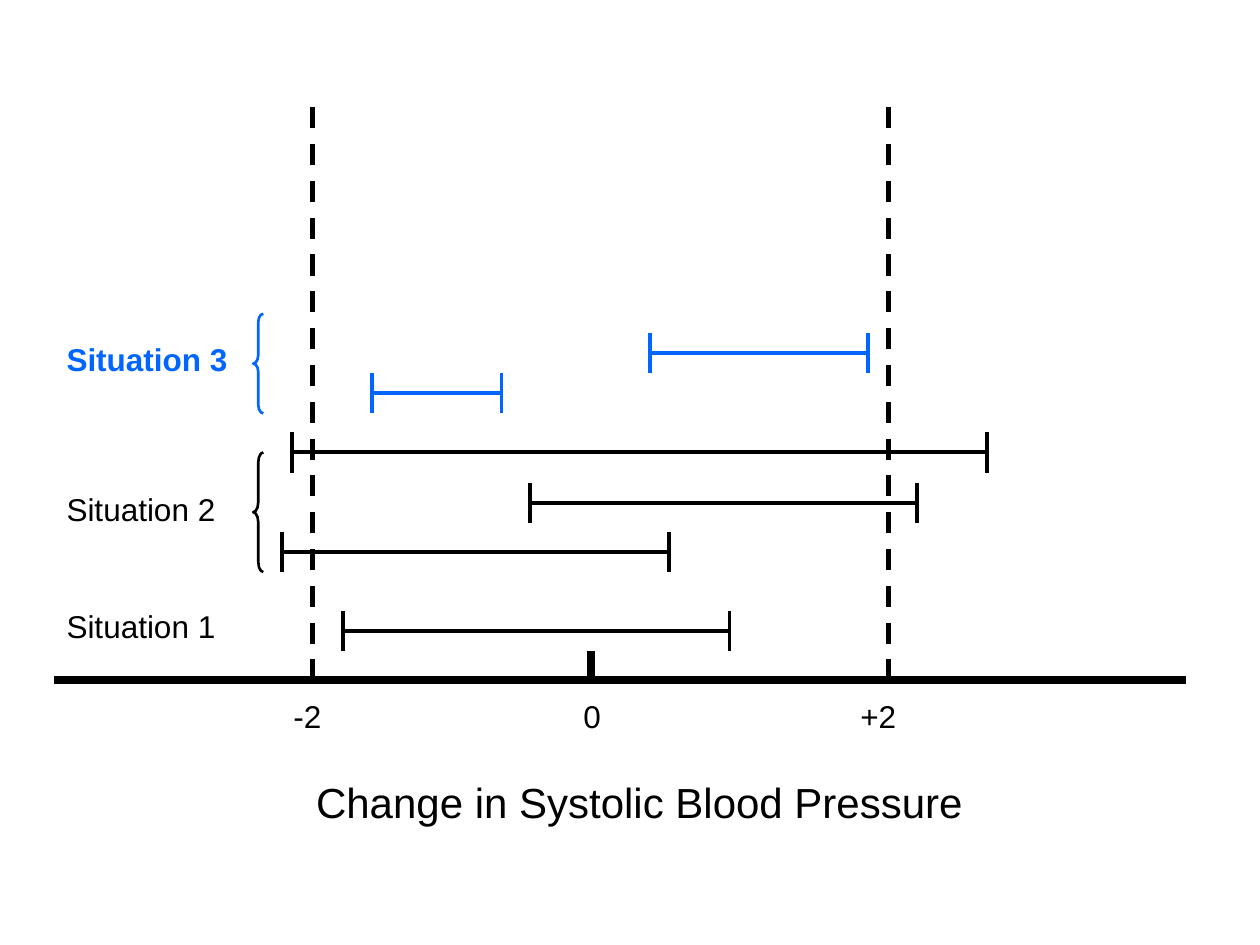
from lxml.etree import SubElement
from pptx import Presentation
from pptx.dml.color import RGBColor
from pptx.enum.dml import MSO_LINE
from pptx.enum.shapes import MSO_CONNECTOR, MSO_SHAPE
from pptx.enum.text import MSO_AUTO_SIZE, PP_ALIGN
from pptx.oxml.ns import qn
from pptx.util import Inches, Pt

BLACK, BLUE = "000000", "0066FF"
AXIS_LEFT, AXIS_RIGHT, AXIS_Y = 0.43, 9.41, 5.4
ZERO_X, ZERO_TOP = 4.69, 5.17
LIMITS_X, LIMITS_TOP = (2.48, 7.05), 0.84
CAP = 0.32

# text, centre x, width
TICK_LABELS = [("-2", 2.44, 0.42), ("0", 4.7, 0.34), ("+2", 6.97, 0.52)]
AXIS_TITLE = "Change in Systolic Blood Pressure"

# intervals are (left, right, y); a brace is (top, height)
SITUATIONS = [
    dict(name="Situation 1", top=4.77, color=BLACK, brace=None,
         intervals=[(2.72, 5.79, 5.01)]),
    dict(name="Situation 2", top=3.84, color=BLACK, brace=(3.59, 0.95),
         intervals=[(2.24, 5.31, 4.38), (4.21, 7.28, 3.99), (2.32, 7.83, 3.59)]),
    dict(name="Situation 3", top=2.65, color=BLUE, brace=(2.49, 0.79),
         intervals=[(2.95, 3.98, 3.12), (5.16, 6.89, 2.8)]),
]
LABEL_LEFT, LABEL_WIDTH, LABEL_HEIGHT = 0.43, 1.73, 0.7
BRACE_LEFT, BRACE_WIDTH = 2.01, 0.08


def rgb(color):
    return RGBColor.from_string(color)


def add_line(shapes, start, end, width, color=BLACK, dash=None):
    line = shapes.add_connector(MSO_CONNECTOR.STRAIGHT,
                                *map(Inches, (*start, *end)))
    line.line.width = Pt(width)
    line.line.color.rgb = rgb(color)
    if dash:
        line.line.dash_style = dash
    SubElement(line._element.spPr, qn("a:effectLst"))


def add_interval(shapes, left, right, y, color):
    """Draw a horizontal range with a vertical cap at each end."""
    interval = shapes.add_group_shape().shapes
    add_line(interval, (left, y), (right, y), 2.25, color)
    for x in (right, left):
        add_line(interval, (x, y - CAP / 2), (x, y + CAP / 2), 2.25, color)


def add_brace(shapes, top, height, color):
    brace = shapes.add_shape(MSO_SHAPE.LEFT_BRACE, *map(
        Inches, (BRACE_LEFT, top, BRACE_WIDTH, height)))
    brace.adjustments[0] = height / 12 / BRACE_WIDTH
    brace.shadow.inherit = False
    brace.fill.background()
    brace.line.width = Pt(1.5)
    brace.line.color.rgb = rgb(color)


def add_label(shapes, text, box, size=18, color=BLACK, bold=False,
              wrap=False, align=PP_ALIGN.CENTER):
    frame = shapes.add_textbox(*map(Inches, box)).text_frame
    frame.word_wrap = wrap
    frame.auto_size = MSO_AUTO_SIZE.SHAPE_TO_FIT_TEXT
    paragraph = frame.paragraphs[0]
    paragraph.text = text
    paragraph.alignment = align
    font = paragraph.font
    font.name, font.size, font.bold = "Arial", Pt(size), bold
    font.color.rgb = rgb(color)


def main():
    deck = Presentation()
    deck.slide_width, deck.slide_height = Inches(10), Inches(7.5)
    shapes = deck.slides.add_slide(deck.slide_layouts[6]).shapes

    add_line(shapes, (AXIS_LEFT, AXIS_Y), (AXIS_RIGHT, AXIS_Y), 4.5)
    add_line(shapes, (ZERO_X, ZERO_TOP), (ZERO_X, AXIS_Y), 4.5)
    for x in LIMITS_X:
        add_line(shapes, (x, AXIS_Y), (x, LIMITS_TOP), 3, dash=MSO_LINE.DASH)

    add_label(shapes, AXIS_TITLE, (2.41, 6.11, 5.33, 0.5), size=24)
    for text, center, width in TICK_LABELS:
        add_label(shapes, text, (center - width / 2, 5.48, width, 0.4))

    for situation in SITUATIONS:
        color = situation["color"]
        add_label(shapes, situation["name"],
                  (LABEL_LEFT, situation["top"], LABEL_WIDTH, LABEL_HEIGHT),
                  color=color, bold=color == BLUE, wrap=True,
                  align=PP_ALIGN.LEFT)
        for interval in situation["intervals"]:
            add_interval(shapes, *interval, color)
        if situation["brace"]:
            add_brace(shapes, *situation["brace"], color)

    deck.save("out.pptx")


if __name__ == "__main__":
    main()
